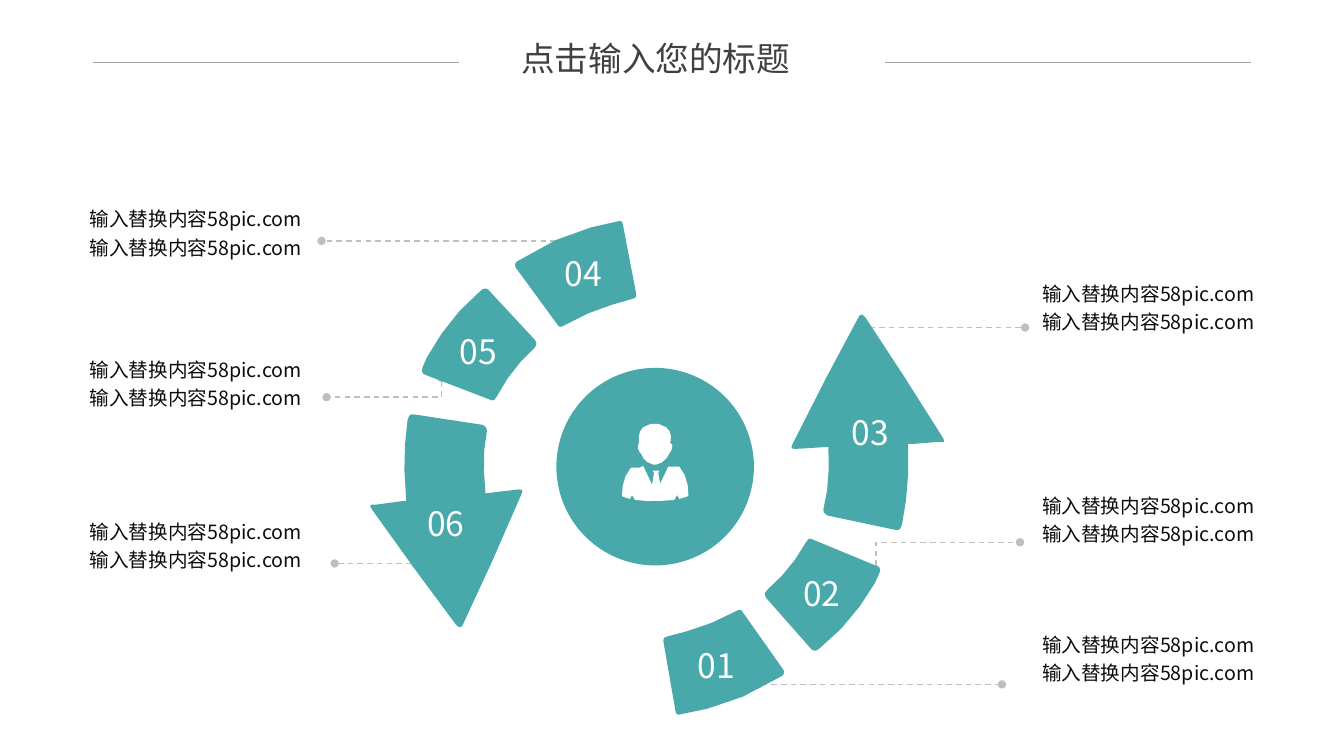
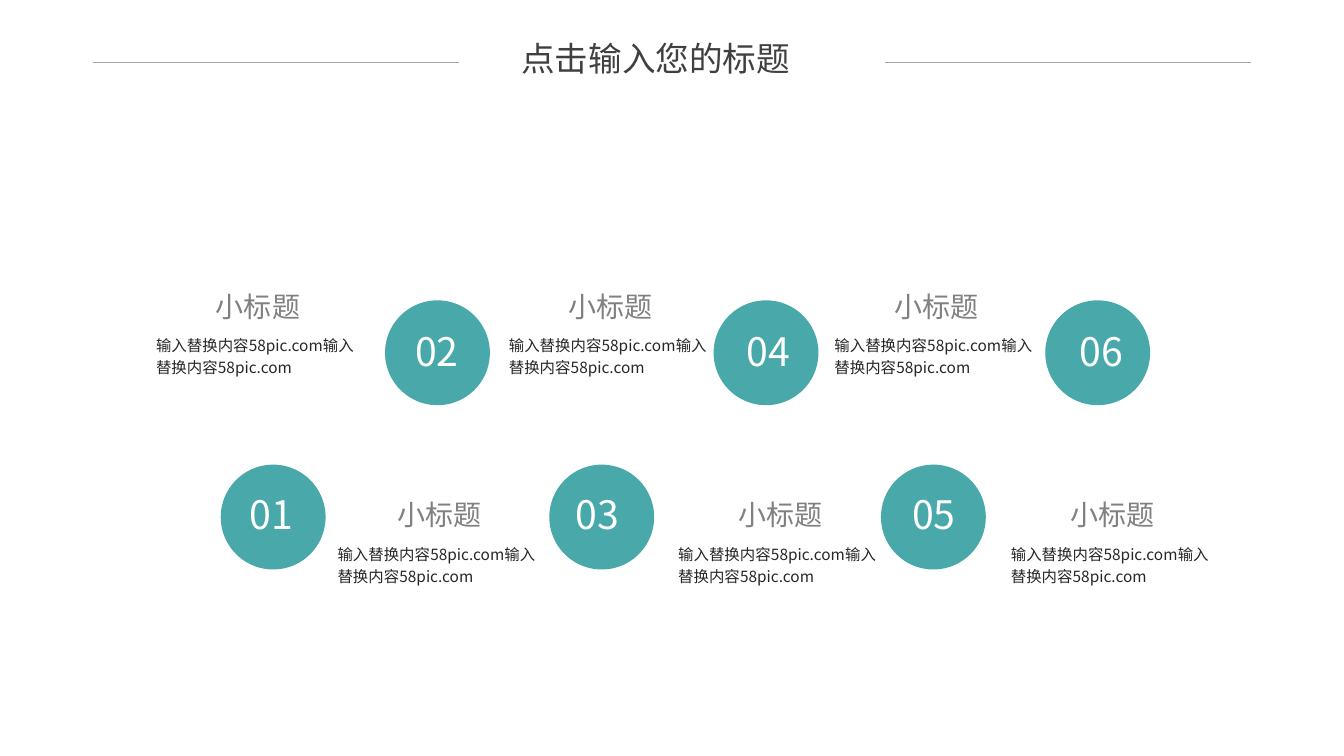
"""Build two slides: a ring of six numbered segments and two rows of numbered circles."""
from dataclasses import dataclass
from typing import NamedTuple

from pptx import Presentation
from pptx.dml.color import RGBColor
from pptx.enum.dml import MSO_LINE
from pptx.enum.shapes import MSO_CONNECTOR, MSO_SHAPE
from pptx.enum.text import MSO_ANCHOR, MSO_AUTO_SIZE, PP_ALIGN
from pptx.oxml.ns import qn
from pptx.oxml.xmlchemy import OxmlElement
from pptx.shapes.autoshape import Shape
from pptx.shapes.connector import Connector
from pptx.slide import Slide
from pptx.util import Inches, Pt

Point = tuple[float, float]
Contour = list[tuple[float, ...]]


@dataclass(frozen=True)
class Style:
    size: float
    color: str
    align: PP_ALIGN = PP_ALIGN.CENTER
    spacing: float = 1.0


@dataclass(frozen=True)
class Theme:
    font: str = "Noto Sans CJK JP"
    teal: str = "48A8AA"
    white: str = "FFFFFF"
    rule: str = "A6A6A6"
    leader: str = "BFBFBF"
    title: Style = Style(24, "404040")
    segment: Style = Style(24, "FFFFFF")
    number: Style = Style(28, "FFFFFF")
    subtitle: Style = Style(20, "808080")
    ring_text: Style = Style(14, "0D0D0D", PP_ALIGN.LEFT, 1.2)
    row_text: Style = Style(11, "262626", PP_ALIGN.LEFT, 1.2)


THEME = Theme()
TITLE = "点击输入您的标题"
SUBTITLE = "小标题"
BODY = "输入替换内容58pic.com输入替换内容58pic.com"


class Segment(NamedTuple):
    label: str
    label_at: Point
    outline: Contour
    center: Point
    rotation: float
    leader: list[Point]
    text_at: Point


class Step(NamedTuple):
    label: str
    circle_x: float
    label_x: float
    text_x: float


class Row(NamedTuple):
    circle_y: float
    label_y: float
    subtitle_y: float
    text_y: float
    steps: list[Step]


WEDGE: Contour = [
    (6.58, 6.37), (6.7, 7.06), (6.7, 7.1, 6.73, 7.1, 6.76, 7.09),
    (6.96, 7.06, 7.36, 6.97, 7.76, 6.71), (7.79, 6.69, 7.77, 6.65, 7.77, 6.65),
    (7.36, 6.07), (7.36, 6.06, 7.34, 6.05, 7.32, 6.06),
    (7.06, 6.21, 6.78, 6.28, 6.62, 6.32), (6.58, 6.33, 6.58, 6.34, 6.58, 6.37),
]
BLOCK: Contour = [
    (8.69, 5.62), (8.06, 5.36), (8.04, 5.35, 8.02, 5.34, 8, 5.38),
    (7.89, 5.58, 7.76, 5.73, 7.61, 5.86), (7.58, 5.89, 7.58, 5.91, 7.6, 5.94),
    (8.05, 6.45), (8.07, 6.47, 8.1, 6.47, 8.13, 6.44),
    (8.36, 6.26, 8.54, 6.03, 8.68, 5.79), (8.69, 5.76, 8.71, 5.73, 8.72, 5.7),
    (8.74, 5.66, 8.73, 5.63, 8.69, 5.62),
]
ARROW: Contour = [
    (9.06, 4.41), (9.32, 4.39), (9.38, 4.4, 9.38, 4.39, 9.35, 4.34),
    (8.97, 3.74), (8.59, 3.16), (8.56, 3.1, 8.52, 3.13, 8.51, 3.17),
    (8.19, 3.77), (7.87, 4.4), (7.84, 4.45, 7.85, 4.46, 7.89, 4.46),
    (8.22, 4.44), (8.23, 4.67, 8.22, 4.88, 8.17, 5.06),
    (8.17, 5.09, 8.18, 5.1, 8.21, 5.12), (8.87, 5.26),
    (8.92, 5.27, 8.93, 5.27, 8.95, 5.21), (9, 4.97, 9.02, 4.73, 9.01, 4.45),
    (9.01, 4.41),
]
BODY_OUTLINE: Contour = [
    (6.26, 4.64), (6.33, 4.64), (6.36, 4.64, 6.37, 4.63, 6.38, 4.62),
    (6.47, 4.81), (6.49, 4.69), (6.48, 4.68), (6.48, 4.67), (6.54, 4.67),
    (6.54, 4.68), (6.53, 4.69), (6.55, 4.8), (6.63, 4.63), (6.67, 4.63),
    (6.74, 4.63), (6.8, 4.69, 6.84, 4.83, 6.83, 4.92),
    (6.81, 4.93, 6.78, 4.94, 6.74, 4.95), (6.72, 4.91), (6.69, 4.96),
    (6.58, 4.97, 6.41, 4.98, 6.3, 4.96), (6.27, 4.91), (6.25, 4.95),
    (6.21, 4.94, 6.18, 4.93, 6.17, 4.92), (6.17, 4.84, 6.19, 4.71, 6.26, 4.64),
]
HEAD_OUTLINE: Contour = [
    (6.36, 4.5), (6.35, 4.49, 6.34, 4.48, 6.34, 4.47),
    (6.33, 4.46, 6.33, 4.44, 6.33, 4.42), (6.33, 4.41), (6.34, 4.41),
    (6.33, 4.32, 6.34, 4.28, 6.38, 4.24), (6.44, 4.19, 6.55, 4.19, 6.61, 4.24),
    (6.65, 4.27, 6.67, 4.32, 6.65, 4.4), (6.67, 4.41), (6.67, 4.42),
    (6.67, 4.44, 6.66, 4.46, 6.66, 4.47), (6.65, 4.48, 6.65, 4.49, 6.64, 4.5),
    (6.62, 4.55, 6.57, 4.6, 6.51, 4.61), (6.48, 4.61),
    (6.42, 4.59, 6.38, 4.56, 6.36, 4.5),
]

LEFT_TEXT, RIGHT_TEXT = 0.79, 10.24
SEGMENTS = [
    Segment("01", (6.62, 6.35), WEDGE, (7.18, 6.57), 0,
            [(7.52, 6.79), (9.94, 6.79)], (RIGHT_TEXT, 6.18)),
    Segment("02", (7.67, 5.63), BLOCK, (8.16, 5.9), 0,
            [(8.69, 5.65), (8.69, 5.38), (10.12, 5.38)], (RIGHT_TEXT, 4.8)),
    Segment("03", (8.15, 4.04), ARROW, (8.61, 4.19), 0,
            [(8.59, 3.25), (10.17, 3.25)], (RIGHT_TEXT, 2.7)),
    Segment("04", (5.3, 2.46), WEDGE, (5.71, 2.72), 179,
            [(5.84, 2.39), (3.19, 2.39)], (LEFT_TEXT, 1.96)),
    Segment("05", (4.26, 3.23), BLOCK, (4.75, 3.42), 178.5,
            [(4.38, 3.75), (4.38, 3.94), (3.24, 3.94)], (LEFT_TEXT, 3.45)),
    Segment("06", (3.94, 4.94), ARROW, (4.44, 5.16), 176.7,
            [(4.12, 5.59), (3.32, 5.59)], (LEFT_TEXT, 5.06)),
]
ROWS = [
    Row(2.98, 3.2, 2.82, 3.25, [
        Step("02", 3.82, 3.93, 1.45), Step("04", 7.08, 7.22, 4.95),
        Step("06", 10.37, 10.52, 8.18)]),
    Row(4.61, 4.81, 4.89, 5.32, [
        Step("01", 2.19, 2.29, 3.25), Step("03", 5.45, 5.52, 6.63),
        Step("05", 8.74, 8.86, 9.93)]),
]


def rgb(color: str) -> RGBColor:
    return RGBColor.from_string(color)


def add_text(s: Slide, text: str, at: Point, size: Point, style: Style,
             inset: bool = True) -> None:
    sp = s.shapes.add_textbox(*map(Inches, (*at, *size)))
    tf = sp.text_frame
    tf.word_wrap = True
    tf.auto_size = MSO_AUTO_SIZE.SHAPE_TO_FIT_TEXT
    if not inset:
        tf.margin_left = tf.margin_right = tf.margin_top = tf.margin_bottom = 0
        tf.vertical_anchor = MSO_ANCHOR.MIDDLE
    p = tf.paragraphs[0]
    p.text = text
    p.alignment = style.align
    p.line_spacing = style.spacing
    p.font.size = Pt(style.size)
    p.font.color.rgb = rgb(style.color)
    p.font.name = THEME.font
    ea = OxmlElement("a:ea")
    ea.set("typeface", THEME.font)
    p._p.pPr.find(qn("a:defRPr")).append(ea)


def paint(sp: Shape, color: str) -> Shape:
    sp.shadow.inherit = False
    sp.fill.solid()
    sp.fill.fore_color.rgb = rgb(color)
    sp.line.fill.background()
    return sp


def add_circle(s: Slide, at: Point, diameter: float) -> None:
    box = map(Inches, (*at, diameter, diameter))
    paint(s.shapes.add_shape(MSO_SHAPE.OVAL, *box), THEME.teal)


def add_line(s: Slide, start: Point, end: Point, color: str, width: float) -> Connector:
    sp = s.shapes.add_connector(MSO_CONNECTOR.STRAIGHT, *map(Inches, (*start, *end)))
    sp.line.width = Pt(width)
    sp.line.color.rgb = rgb(color)
    sp._element.spPr.append(OxmlElement("a:effectLst"))
    return sp


def to_emu(points: list[Point]) -> list[tuple[int, int]]:
    return [(Inches(x), Inches(y)) for x, y in points]


def flatten(contour: Contour) -> list[Point]:
    points = [contour[0]]
    for part in contour[1:]:
        if len(part) == 2:
            points.append(part)
            continue
        nodes = [points[-1], part[:2], part[2:4], part[4:]]
        for t in (1 / 3, 2 / 3, 1):
            weights = ((1 - t) ** 3, 3 * t * (1 - t) ** 2, 3 * t * t * (1 - t), t ** 3)
            x, y = (sum(w * n[axis] for w, n in zip(weights, nodes)) for axis in (0, 1))
            points.append((x, y))
    return points


def add_outline(s: Slide, contours: list[Contour], color: str) -> Shape:
    first, *others = [to_emu(flatten(contour)) for contour in contours]
    builder = s.shapes.build_freeform(*first[0])
    builder.add_line_segments(first[1:], close=True)
    for points in others:
        builder.move_to(*points[0])
        builder.add_line_segments(points[1:], close=True)
    return paint(builder.convert_to_shape(), color)


def add_leader(s: Slide, points: list[Point]) -> None:
    if len(points) == 2:
        sp = add_line(s, *points, THEME.leader, 1)
    else:
        start, *rest = to_emu(points)
        builder = s.shapes.build_freeform(*start)
        builder.add_line_segments(rest, close=False)
        sp = builder.convert_to_shape()
        sp.shadow.inherit = False
        sp.fill.background()
        sp.line.width = Pt(1)
        sp.line.color.rgb = rgb(THEME.leader)
    sp.line.dash_style = MSO_LINE.DASH
    for tag in ("a:headEnd", "a:tailEnd"):
        end = OxmlElement(tag)
        end.set("type", "oval")
        sp._element.spPr.find(qn("a:ln")).append(end)


def add_segment(s: Slide, segment: Segment) -> None:
    sp = add_outline(s, [segment.outline], THEME.teal)
    x, y = map(Inches, segment.center)
    sp.left, sp.top = x - sp.width // 2, y - sp.height // 2
    sp.rotation = segment.rotation
    add_text(s, segment.label, segment.label_at, (0.97, 0.5), THEME.segment)


def add_titled_slide(prs: Presentation) -> Slide:
    s = prs.slides.add_slide(prs.slide_layouts[6])
    s.background.fill.solid()
    s.background.fill.fore_color.rgb = rgb(THEME.white)
    add_text(s, TITLE, (4.46, 0.38), (4.09, 0.4), THEME.title, inset=False)
    for x in (0.92, 8.78):
        add_line(s, (x, 0.62), (x + 3.63, 0.62), THEME.rule, 0.5)
    return s


def build_ring(prs: Presentation) -> None:
    s = add_titled_slide(prs)
    for segment in SEGMENTS:
        add_leader(s, segment.leader)
    for segment in SEGMENTS:
        add_segment(s, segment)
        add_text(s, BODY, segment.text_at, (2.31, 0.81), THEME.ring_text)
    add_circle(s, (5.52, 3.65), 1.96)
    add_outline(s, [BODY_OUTLINE, HEAD_OUTLINE], THEME.white)


def build_rows(prs: Presentation) -> None:
    s = add_titled_slide(prs)
    for row in ROWS:
        for step in row.steps:
            add_text(s, BODY, (step.text_x, row.text_y), (2.18, 0.53), THEME.row_text)
            add_text(s, SUBTITLE, (step.text_x - 0.15, row.subtitle_y), (2.52, 0.44),
                     THEME.subtitle)
            add_circle(s, (step.circle_x, row.circle_y), 1.04)
            add_text(s, step.label, (step.label_x, row.label_y), (0.81, 0.58),
                     THEME.number)


def main() -> None:
    prs = Presentation()
    prs.slide_width, prs.slide_height = Inches(40 / 3), Inches(7.5)
    build_ring(prs)
    build_rows(prs)
    prs.save("out.pptx")


if __name__ == "__main__":
    main()
